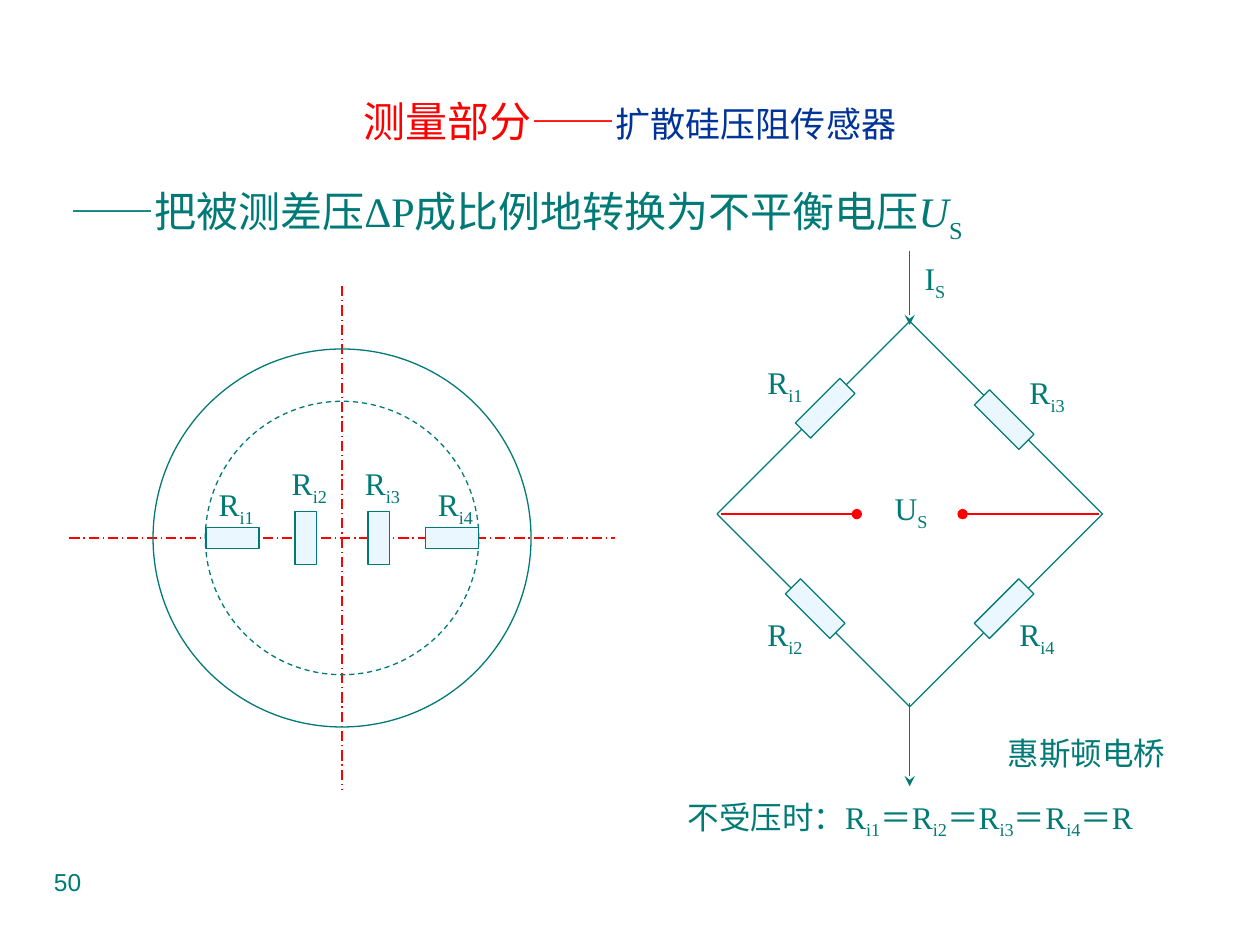
from lxml import etree
from pptx import Presentation
from pptx.dml.color import RGBColor
from pptx.enum import dml, shapes, text
from pptx.oxml.ns import qn
from pptx.util import Inches, Pt

RED = RGBColor(0xFF, 0x00, 0x00)
BLUE = RGBColor(0x00, 0x33, 0x99)
TEAL = RGBColor(0x00, 0x7A, 0x77)
PALE = RGBColor(0xEB, 0xF7, 0xFF)
SERIF = "Times New Roman"
SANS = "Arial"
LINE_WIDTH = Pt(0.75)
RECTANGLE = shapes.MSO_SHAPE.RECTANGLE
OVAL = shapes.MSO_SHAPE.OVAL
DASH = dml.MSO_LINE.DASH
LONG_DASH_DOT = dml.MSO_LINE.LONG_DASH_DOT


def add_run(paragraph, words, size, font=SERIF, color=TEAL, italic=None, baseline=0):
    """Add a run; baseline is a percentage, negative for a subscript."""
    run = paragraph.add_run()
    run.text = words
    run.font.size = Pt(size)
    run.font.name = font
    run.font.color.rgb = color
    run.font.italic = italic
    if baseline:
        run._r.get_or_add_rPr().set("baseline", str(baseline * 1000))


def add_text_box(slide, left, top, width, height, margins=(0.1, 0.05), wrap=True):
    """Add an empty text box and return its first paragraph."""
    box = slide.shapes.add_textbox(Inches(left), Inches(top), Inches(width), Inches(height))
    frame = box.text_frame
    frame.word_wrap = wrap
    frame.margin_left = frame.margin_right = Inches(margins[0])
    frame.margin_top = frame.margin_bottom = Inches(margins[1])
    return frame.paragraphs[0]


def add_symbol(slide, x, y, letter, subscript):
    """Add a letter with a subscript, centred on a point."""
    width, height = 0.28, 0.34
    paragraph = add_text_box(slide, x - width / 2, y - height / 2, width, height, (0, 0), False)
    paragraph.alignment = text.PP_ALIGN.CENTER
    add_run(paragraph, letter, 18)
    add_run(paragraph, subscript, 18, baseline=-25)


def add_outline(slide, kind, x, y, width, height, rotation=0, fill=None, dash=None):
    """Add a teal-edged shape centred on a point."""
    shape = slide.shapes.add_shape(kind, Inches(x - width / 2), Inches(y - height / 2),
                                   Inches(width), Inches(height))
    shape.shadow.inherit = False
    shape.rotation = rotation
    if fill is None:
        shape.fill.background()
    else:
        shape.fill.solid()
        shape.fill.fore_color.rgb = fill
    shape.line.color.rgb = TEAL
    shape.line.width = LINE_WIDTH
    if dash:
        shape.line.dash_style = dash


def add_resistor(slide, x, y, rotation):
    add_outline(slide, RECTANGLE, x, y, 0.5, 0.17, rotation, PALE)


def add_line(slide, start, end, color, dash=None, end_mark=None):
    connector = slide.shapes.add_connector(
        shapes.MSO_CONNECTOR.STRAIGHT, *(Inches(value) for value in (*start, *end)))
    connector.line.color.rgb = color
    connector.line.width = LINE_WIDTH
    if dash:
        connector.line.dash_style = dash
    if end_mark:
        etree.SubElement(connector.line._get_or_add_ln(), qn("a:tailEnd"), type=end_mark)
    etree.SubElement(connector._element.spPr, qn("a:effectLst"))


def add_title(slide, left, top, width, height):
    title = slide.shapes.title
    title.left, title.top = Inches(left), Inches(top)
    title.width, title.height = Inches(width), Inches(height)
    title.text_frame.vertical_anchor = text.MSO_ANCHOR.MIDDLE
    paragraph = title.text_frame.paragraphs[0]
    paragraph.alignment = text.PP_ALIGN.CENTER
    add_run(paragraph, "测量部分——", 24, SANS, RED)
    add_run(paragraph, "扩散硅压阻传感器", 20, SANS, BLUE)


def add_statement(slide, left, top, width, height):
    paragraph = add_text_box(slide, left, top, width, height)
    paragraph.line_spacing = 0.9
    properties = paragraph._p.get_or_add_pPr()
    properties.set("marL", str(Inches(0.38)))
    properties.set("indent", str(Inches(-0.38)))
    add_run(paragraph, "——把被测差压ΔP成比例地转换为不平衡电压", 24)
    add_run(paragraph, "U", 24, italic=True)
    add_run(paragraph, "S", 24, baseline=-30)


def add_diaphragm(slide, left, top, width, height):
    """Draw the round silicon diaphragm with its four strain resistors."""
    x, y = left + width / 2, top + height / 2
    add_line(slide, (left, y), (left + width, y), RED, LONG_DASH_DOT)
    add_line(slide, (x, top), (x, top + height), RED, LONG_DASH_DOT)
    add_outline(slide, OVAL, x, y, 3, 3)
    add_outline(slide, OVAL, x, y, 2.17, 2.17, dash=DASH)
    resistors = ((-0.87, 0, 0.25), (-0.29, 90, 0.42), (0.29, 90, 0.42), (0.87, 0, 0.25))
    for number, (offset, rotation, rise) in enumerate(resistors, 1):
        add_outline(slide, RECTANGLE, x + offset, y, 0.42, 0.17, rotation, PALE)
        add_symbol(slide, x + offset + 0.03, y - rise, "R", f"i{number}")


def add_bridge(slide, left, top, width, height):
    """Draw the bridge as a diamond centred in its box, with feed arrows."""
    x, y = left + width / 2, top + height / 2
    for side in (-1, 1):
        add_line(slide, (x + side * 1.5, y), (x + side * 0.42, y), RED, end_mark="oval")
    add_symbol(slide, x + 0.01, y - 0.03, "U", "S")

    edge = width / 2 ** 0.5
    add_outline(slide, RECTANGLE, x, y, edge, edge, 45)
    arms = (  # resistor offset, rotation, label offset
        ((-0.67, -0.84), 315, (-0.99, -1.03)),
        ((-0.75, 0.75), 45, (-0.99, 0.97)),
        ((0.75, -0.75), 45, (1.09, -0.95)),
        ((0.75, 0.75), 315, (1.01, 0.97)),
    )
    for number, ((dx, dy), rotation, (label_dx, label_dy)) in enumerate(arms, 1):
        add_resistor(slide, x + dx, y + dy, rotation)
        add_symbol(slide, x + label_dx, y + label_dy, "R", f"i{number}")

    add_line(slide, (x, y - 2.09), (x, y - 1.5), TEAL, end_mark="stealth")
    add_line(slide, (x, y + 1.5), (x, y + 2.16), TEAL, end_mark="stealth")
    add_symbol(slide, x + 0.2, y - 1.85, "I", "S")


def add_balance_equation(slide, left, top, width, height):
    paragraph = add_text_box(slide, left, top, width, height, (0, 0))
    paragraph.alignment = text.PP_ALIGN.CENTER
    add_run(paragraph, "不受压时：R", 18)
    for number in range(1, 5):
        add_run(paragraph, f"i{number}", 18, baseline=-25)
        add_run(paragraph, "＝R", 18)


def add_note(slide, left, top, width, height, words, size):
    paragraph = add_text_box(slide, left, top, width, height, wrap=False)
    add_run(paragraph, words, size, SANS)


def main():
    presentation = Presentation()
    presentation.slide_width, presentation.slide_height = Inches(10), Inches(7.5)
    slide = presentation.slides.add_slide(presentation.slide_layouts[5])
    add_title(slide, 0.75, 0.33, 8.5, 1.25)
    add_statement(slide, 0.46, 1.42, 9.08, 0.53)
    add_diaphragm(slide, 0.55, 2.27, 4.33, 4)
    add_bridge(slide, 5.69, 2.55, 3.06, 3.06)
    add_balance_equation(slide, 5.31, 6.33, 3.83, 0.64)
    add_note(slide, 7.9, 5.78, 1.45, 0.4, "惠斯顿电桥", 18)
    add_note(slide, 0.33, 6.83, 0.43, 0.52, "50", 14)
    presentation.save("out.pptx")


if __name__ == "__main__":
    main()
